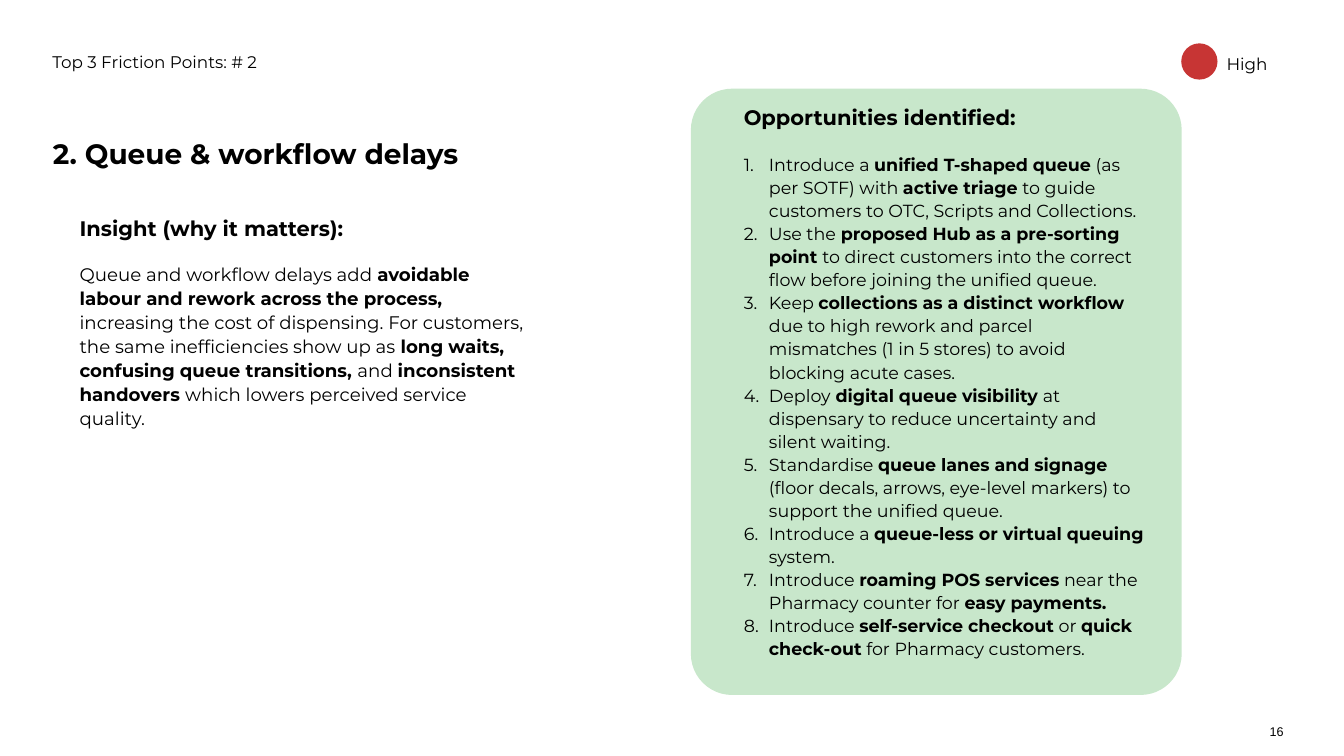
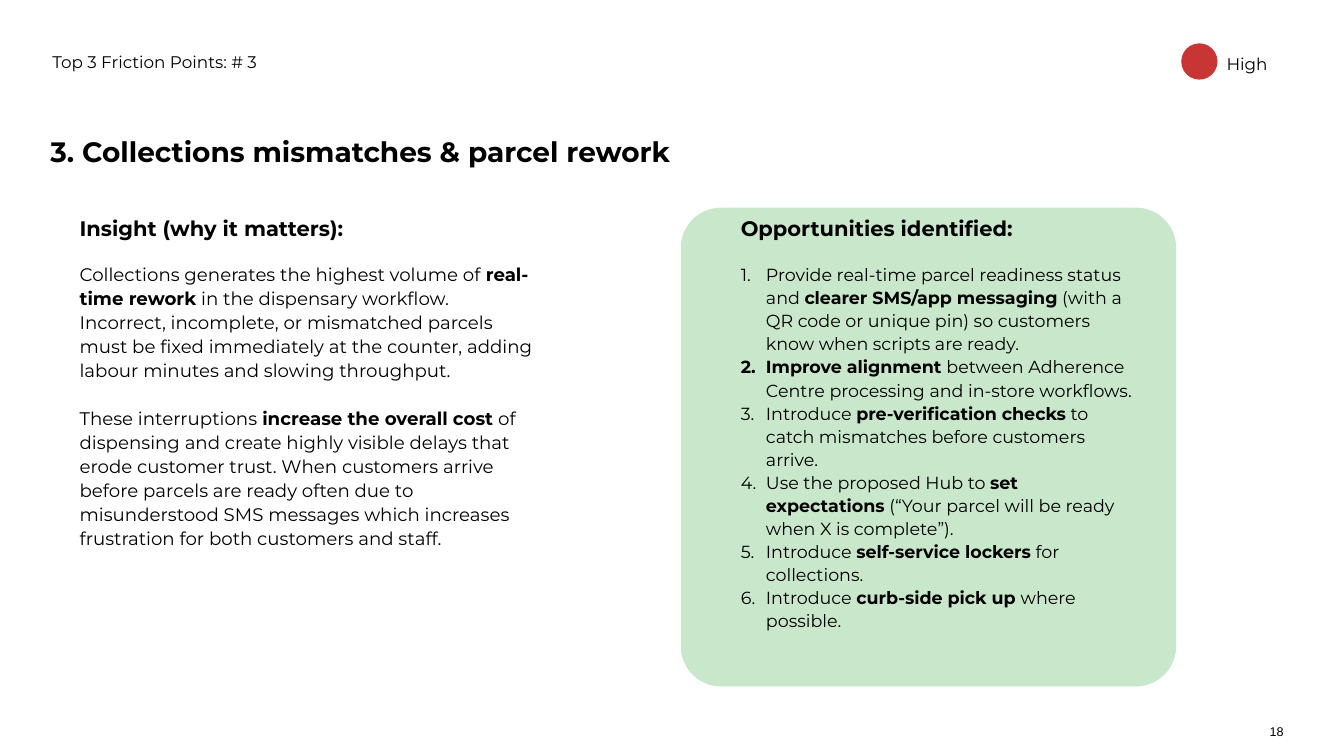
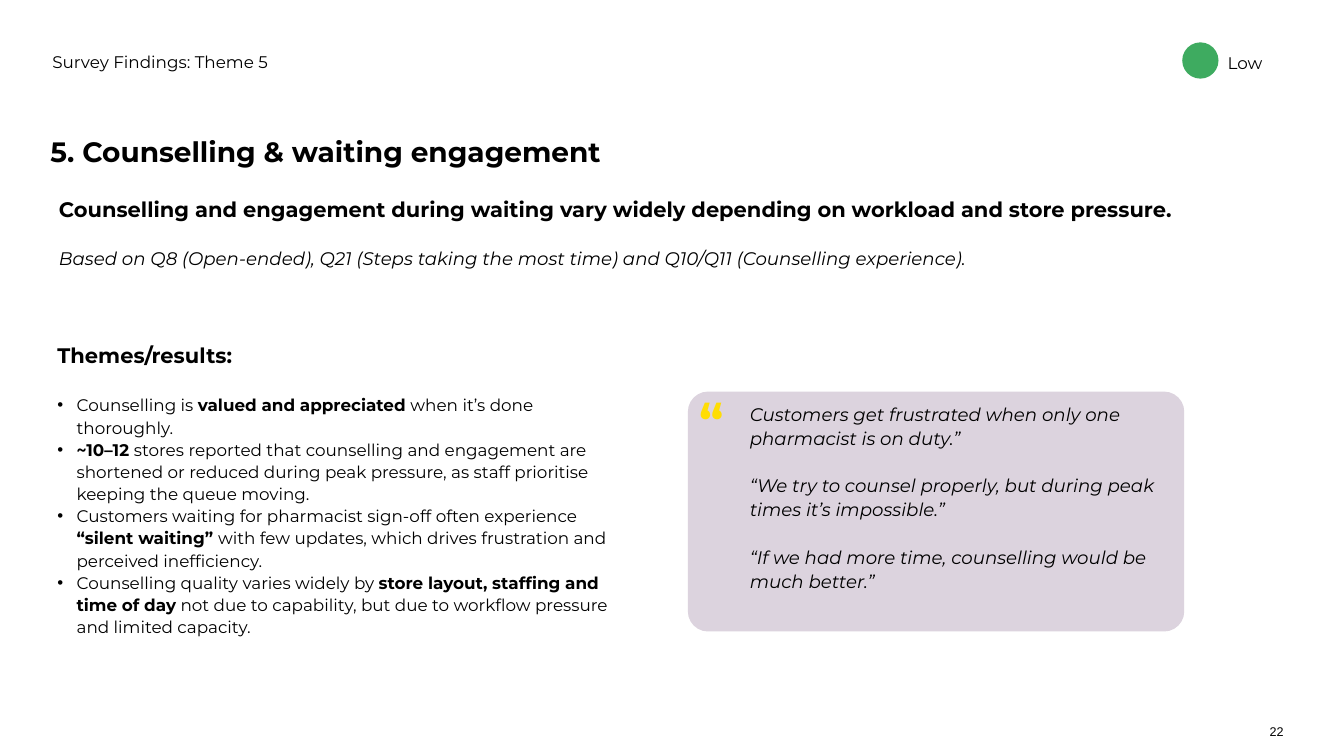
from dataclasses import dataclass

from lxml import etree
from pptx import Presentation
from pptx.dml.color import RGBColor
from pptx.enum.shapes import MSO_SHAPE
from pptx.enum.text import MSO_ANCHOR, MSO_AUTO_SIZE, PP_ALIGN
from pptx.oxml.ns import qn
from pptx.util import Pt

PX = 9144  # EMU per px, 100 px to the inch
TITLE_ONLY = 5
ROUNDED, OVAL = MSO_SHAPE.ROUNDED_RECTANGLE, MSO_SHAPE.OVAL
TOP, MIDDLE, BOTTOM = MSO_ANCHOR.TOP, MSO_ANCHOR.MIDDLE, MSO_ANCHOR.BOTTOM
LEFT, RIGHT = PP_ALIGN.LEFT, PP_ALIGN.RIGHT
NO_AUTOSIZE = MSO_AUTO_SIZE.NONE

# Text insets: horizontal, vertical
BODY_INSETS, LABEL_INSETS, TIGHT_INSETS, NO_INSETS = (20, 10), (10, 5), (6, 6), (0, 0)


@dataclass(frozen=True)
class Theme:
    font: str = "Montserrat"
    number_font: str = "Arial"
    text: str = "000000"
    high: str = "C73534"
    low: str = "3EAB60"
    opportunity: str = "C8E7CB"
    quote: str = "DCD3DE"
    quote_mark: str = "FFDD04"
    title_size: int = 40
    heading_size: int = 30
    body_size: int = 26
    list_size: int = 25
    label_size: int = 24
    number_size: int = 18
    mark_size: int = 70
    line_spacing: float = 1.1
    paragraph_gap: int = 34


THEME = Theme()


# Text helpers
def prepare_frame(shape, insets, anchor=TOP):
    frame = shape.text_frame
    frame.word_wrap = True
    frame.auto_size = NO_AUTOSIZE
    frame.vertical_anchor = anchor
    frame.margin_left = frame.margin_right = insets[0] * PX
    frame.margin_top = frame.margin_bottom = insets[1] * PX
    return frame


def write_paragraph(paragraph, text, size, bold=False, italic=False,
                    color=THEME.text, font=THEME.font, align=LEFT):
    """Write one paragraph; parts between ** marks are bold."""
    paragraph.alignment = align
    paragraph.line_spacing = THEME.line_spacing
    for index, part in enumerate(text.split("**")):
        if part:
            run = paragraph.add_run()
            run.text = part
            run.font.size = Pt(size)
            run.font.name = font
            run.font.bold = bold or index % 2 == 1
            run.font.italic = italic
            run.font.color.rgb = RGBColor.from_string(color)


def add_bullet(paragraph, indent, numbered):
    properties = paragraph._p.get_or_add_pPr()
    properties.set("marL", str(indent * PX))
    properties.set("indent", str(-indent * PX))
    if numbered:
        etree.SubElement(properties, qn("a:buAutoNum"), type="arabicPeriod")
    else:
        etree.SubElement(properties, qn("a:buFont"), typeface="Arial")
        etree.SubElement(properties, qn("a:buChar"), char="•")


def add_frame(shapes, box, insets=BODY_INSETS, anchor=TOP):
    textbox = shapes.add_textbox(*(length * PX for length in box))
    return prepare_frame(textbox, insets, anchor)


def add_label(shapes, box, text, size, insets, anchor=TOP, **style):
    frame = add_frame(shapes, box, insets, anchor)
    write_paragraph(frame.paragraphs[0], text, size, **style)


def add_paragraphs(slide, box, texts, size, heading=None, heading_gap=0, **style):
    frame = add_frame(slide.shapes, box)
    paragraph = frame.paragraphs[0]
    if heading:
        write_paragraph(paragraph, heading, THEME.heading_size, bold=True)
        paragraph.space_after = Pt(heading_gap)
    for index, text in enumerate(texts):
        if heading or index:
            paragraph = frame.add_paragraph()
        if index:
            paragraph.space_before = Pt(THEME.paragraph_gap)
        write_paragraph(paragraph, text, size, **style)


def add_list(slide, box, heading, heading_gap, items, size, indent, numbered):
    frame = add_frame(slide.shapes, box)
    write_paragraph(frame.paragraphs[0], heading, THEME.heading_size, bold=True)
    frame.paragraphs[0].space_after = Pt(heading_gap)
    for item in items:
        paragraph = frame.add_paragraph()
        add_bullet(paragraph, indent, numbered)
        write_paragraph(paragraph, item, size)


# Shape helpers
def add_filled(shapes, kind, box, color):
    shape = shapes.add_shape(kind, *(length * PX for length in box))
    shape.shadow.inherit = False
    shape.fill.solid()
    shape.fill.fore_color.rgb = RGBColor.from_string(color)
    shape.line.fill.background()
    return shape


def add_card(slide, box, color):
    card = add_filled(slide.shapes, ROUNDED, box, color)
    card.adjustments[0] = 0.084


def add_rating(slide, left, top, text, color):
    group = slide.shapes.add_group_shape()
    add_filled(group.shapes, OVAL, (left, top, 72, 72), color)
    add_label(group.shapes, (left + 84, top + 11, 163, 56), text,
              THEME.label_size, TIGHT_INSETS, MIDDLE)


# Parts shared by the slides
def add_slide(presentation, section, title, title_box, number):
    slide = presentation.slides.add_slide(presentation.slide_layouts[TITLE_ONLY])
    placeholder = slide.shapes.title
    placeholder.left, placeholder.top, placeholder.width, placeholder.height = (
        length * PX for length in title_box)
    frame = prepare_frame(placeholder, TIGHT_INSETS, MIDDLE)
    write_paragraph(frame.paragraphs[0], title, THEME.title_size, bold=True)
    add_label(slide.shapes, (94, 94, 1213, 52), section, THEME.label_size, LABEL_INSETS)
    add_label(slide.shapes, (2476, 1436, 71, 31), str(number), THEME.number_size,
              NO_INSETS, BOTTOM, font=THEME.number_font, align=RIGHT)
    return slide


def add_friction_slide(presentation, rank, title, title_box, number, insight,
                       insight_height, card_box, list_box, opportunities):
    slide = add_slide(presentation, f"Top 3 Friction Points: # {rank}",
                      f"{rank}. {title}", title_box, number)
    add_card(slide, card_box, THEME.opportunity)
    add_list(slide, list_box, "Opportunities identified:", 31, opportunities,
             THEME.list_size, 50, numbered=True)
    add_paragraphs(slide, (138, 412, 943, insight_height), insight, THEME.body_size,
                   heading="Insight (why it matters):", heading_gap=30)
    add_rating(slide, 2344, 86, "High", THEME.high)


def add_survey_slide(presentation):
    slide = add_slide(presentation, "Survey Findings: Theme 5",
                      "5. Counselling & waiting engagement", (94, 255, 2257, 85), 22)
    add_paragraphs(
        slide, (97, 374, 2257, 414),
        ["Based on Q8 (Open-ended), Q21 (Steps taking the most time) and "
         "Q10/Q11 (Counselling experience)."],
        THEME.body_size, italic=True, heading_gap=THEME.paragraph_gap,
        heading="Counselling and engagement during waiting vary widely "
                "depending on workload and store pressure.")
    # Quotes
    add_card(slide, (1365, 777, 985, 476), THEME.quote)
    add_label(slide.shapes, (1369, 753, 99, 319), "“", THEME.mark_size, BODY_INSETS,
              bold=True, color=THEME.quote_mark)
    add_paragraphs(
        slide, (1468, 785, 884, 584),
        ["Customers get frustrated when only one pharmacist is on duty.”",
         "“We try to counsel properly, but during peak times it’s impossible.”",
         "“If we had more time, counselling would be much better.”"],
        THEME.body_size, italic=True)
    add_rating(slide, 2346, 84, "Low", THEME.low)
    # Themes
    add_list(
        slide, (94, 665, 1142, 706), "Themes/results:", 36,
        ["Counselling is **valued and appreciated **when it’s done thoroughly.",
         "**~10–12 **stores reported that counselling and engagement are shortened or "
         "reduced during peak pressure, as staff prioritise keeping the queue moving.",
         "Customers waiting for pharmacist sign-off often experience **“silent waiting” "
         "**with few updates, which drives frustration and perceived inefficiency.",
         "Counselling quality varies widely by **store layout, staffing and time of day** "
         "not due to capability, but due to workflow pressure and limited capacity."],
        THEME.label_size, 38, numbered=False)


def main():
    presentation = Presentation()
    presentation.slide_width = 2667 * PX
    presentation.slide_height = 1500 * PX

    add_friction_slide(
        presentation, 2, "Queue & workflow delays", (99, 258, 1027, 85), 16,
        insight=[
            "Queue and workflow delays add **avoidable labour and rework across the "
            "process, **increasing the cost of dispensing. For customers, the same "
            "inefficiencies show up as **long waits, confusing queue transitions, **and "
            "**inconsistent handovers **which lowers perceived service quality."],
        insight_height=499,
        card_box=(1371, 176, 974, 1203),
        list_box=(1456, 193, 834, 1235),
        opportunities=[
            "Introduce a **unified T-shaped queue** (as per SOTF) with **active triage** "
            "to guide customers to OTC, Scripts and Collections.",
            "Use the** proposed Hub as a pre-sorting point **to direct customers into "
            "the correct flow before joining the unified queue.",
            "Keep **collections as a distinct workflow** due to high rework and parcel "
            "mismatches (1 in 5 stores) to avoid blocking acute cases.",
            "Deploy** digital queue visibility **at dispensary to reduce uncertainty "
            "and silent waiting.",
            "Standardise **queue lanes and signage** (floor decals, arrows, eye-level "
            "markers) to support the unified queue.",
            "Introduce a **queue-less or virtual queuing** system.",
            "Introduce **roaming POS services** near the Pharmacy counter for "
            "**easy payments.**",
            "Introduce **self-service checkout** or **quick check-out** for Pharmacy "
            "customers."])

    add_friction_slide(
        presentation, 3, "Collections mismatches & parcel rework", (94, 255, 1314, 85), 18,
        insight=[
            "Collections generates the highest volume of **real-time rework** in the "
            "dispensary workflow. Incorrect, incomplete, or mismatched parcels must be "
            "fixed immediately at the counter, adding labour minutes and slowing "
            "throughput.",
            "These interruptions **increase the overall cost** of dispensing and create "
            "highly visible delays that erode customer trust. When customers arrive "
            "before parcels are ready often due to misunderstood SMS messages which "
            "increases frustration for both customers and staff."],
        insight_height=739,
        card_box=(1351, 412, 983, 950),
        list_box=(1450, 412, 834, 1004),
        opportunities=[
            "Provide real-time parcel readiness status and **clearer SMS/app messaging** "
            "(with a QR code or unique pin) so customers know when scripts are ready.",
            "**Improve alignment **between Adherence Centre processing and in-store "
            "workflows.",
            "Introduce **pre-verification checks** to catch mismatches before customers "
            "arrive.",
            "Use the proposed Hub to **set expectations** (“Your parcel will be ready "
            "when X is complete”).",
            "Introduce **self-service lockers** for collections.",
            "Introduce **curb-side pick up **where possible."])

    add_survey_slide(presentation)
    presentation.save("out.pptx")


if __name__ == "__main__":
    main()
